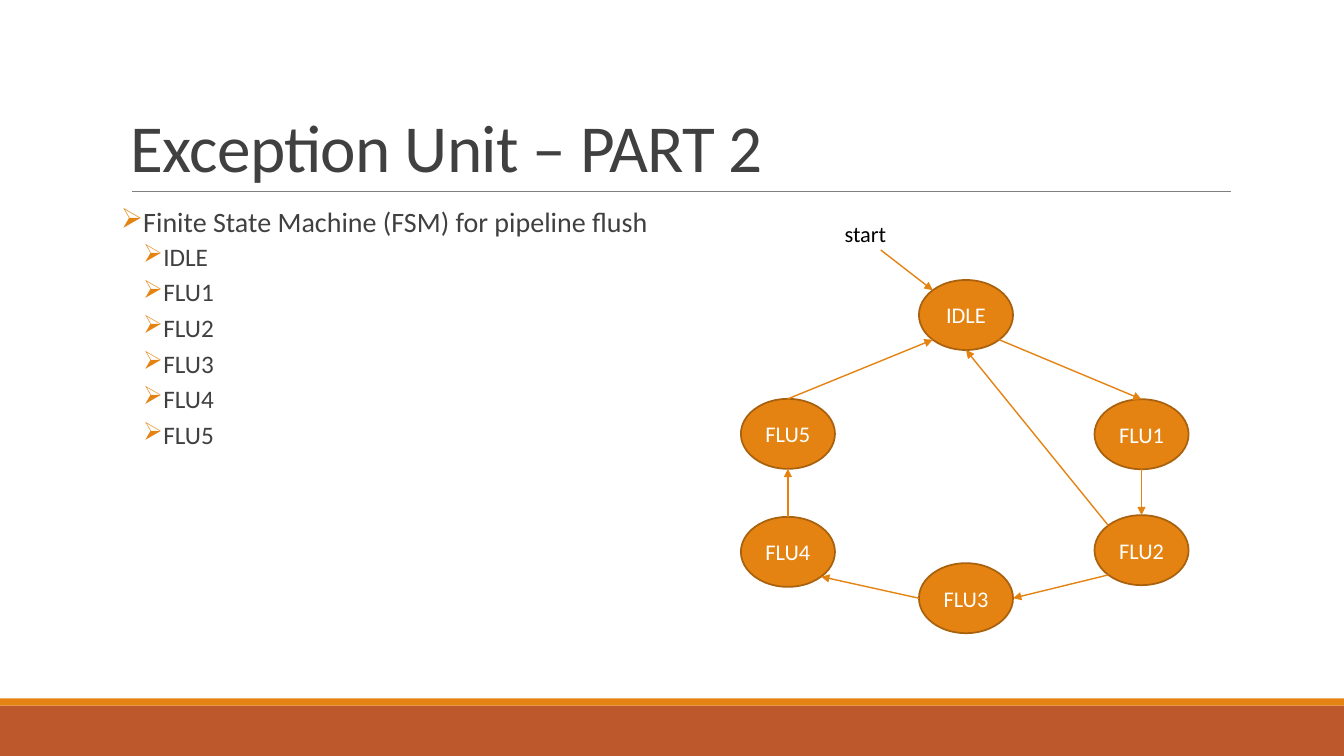
import math

import pptx
import pptx.dml.color
import pptx.enum.shapes
import pptx.enum.text
import pptx.oxml.ns
import pptx.util
from lxml import etree

Pt = pptx.util.Pt
FONT = "Calibri"
COLORS = {
    "orange": "E48312",
    "rust": "BD582C",
    "outline": "A9610D",
    "rule": "808080",
    "text": "404040",
    "black": "000000",
    "white": "FFFFFF",
}
STATE_WIDTH, STATE_HEIGHT = 67.2, 50
LEFT, CENTER, RIGHT = 529.2, 656.4, 781.8
STATES = {
    "IDLE": (CENTER, 200),
    "FLU1": (RIGHT, 285.2),
    "FLU2": (RIGHT, 368),
    "FLU3": (CENTER, 402.3),
    "FLU4": (LEFT, 369.2),
    "FLU5": (LEFT, 284.9),
}
DIAGONAL = math.sqrt(0.5)
SIDES = {
    "top": (0, -1),
    "bottom": (0, 1),
    "left": (-1, 0),
    "right": (1, 0),
    "top left": (-DIAGONAL, -DIAGONAL),
    "bottom left": (-DIAGONAL, DIAGONAL),
    "bottom right": (DIAGONAL, DIAGONAL),
}
TRANSITIONS = [
    ("FLU1", "bottom", "FLU2", "top"),
    ("FLU2", "bottom left", "FLU3", "right"),
    ("FLU3", "left", "FLU4", "bottom right"),
    ("FLU4", "top", "FLU5", "bottom"),
    ("FLU5", "top", "IDLE", "bottom left"),
    ("IDLE", "bottom right", "FLU1", "top"),
    ("FLU2", "top left", "IDLE", "bottom"),
]


def rgb(name):
    return pptx.dml.color.RGBColor.from_string(COLORS[name])


def add_child(parent, tag, **attributes):
    return etree.SubElement(parent, pptx.oxml.ns.qn(tag), attributes)


def style_font(paragraph, size, color):
    paragraph.font.name = FONT
    paragraph.font.size = Pt(size)
    paragraph.font.color.rgb = rgb(color)


def add_filled_shape(slide, kind, left, top, width, height, fill):
    shape = slide.shapes.add_shape(kind, Pt(left), Pt(top), Pt(width), Pt(height))
    shape.shadow.inherit = False
    shape.fill.solid()
    shape.fill.fore_color.rgb = rgb(fill)
    shape.line.fill.background()
    return shape


def add_band(slide, top, height, fill):
    add_filled_shape(slide, pptx.enum.shapes.MSO_SHAPE.RECTANGLE, 0, top, 960, height, fill)


def add_state(slide, name):
    left, top = STATES[name]
    shape = add_filled_shape(slide, pptx.enum.shapes.MSO_SHAPE.OVAL, left, top,
                             STATE_WIDTH, STATE_HEIGHT, "orange")
    shape.line.color.rgb = rgb("outline")
    shape.line.width = Pt(1.25)
    frame = shape.text_frame
    frame.vertical_anchor = pptx.enum.text.MSO_ANCHOR.MIDDLE
    paragraph = frame.paragraphs[0]
    paragraph.text = name
    paragraph.alignment = pptx.enum.text.PP_ALIGN.CENTER
    style_font(paragraph, 16, "white")


def add_line(slide, start, end, color, width, arrow=False):
    connector = slide.shapes.add_connector(
        pptx.enum.shapes.MSO_CONNECTOR.STRAIGHT, *map(Pt, start + end))
    connector.line.color.rgb = rgb(color)
    connector.line.width = Pt(width)
    if arrow:
        add_child(connector.line._get_or_add_ln(), "a:tailEnd", type="triangle")
    add_child(connector._element.spPr, "a:effectLst")


def add_arrow(slide, start, end):
    add_line(slide, start, end, "orange", 1, arrow=True)


def state_point(name, side):
    left, top = STATES[name]
    across, down = SIDES[side]
    return (left + STATE_WIDTH * (1 + across) / 2, top + STATE_HEIGHT * (1 + down) / 2)


def add_text_frame(slide, left, top, width, height):
    box = slide.shapes.add_textbox(Pt(left), Pt(top), Pt(width), Pt(height))
    box.text_frame.word_wrap = True
    return box.text_frame


def add_title(slide, text):
    frame = add_text_frame(slide, 86.4, 22.6, 792, 114.2)
    frame.vertical_anchor = pptx.enum.text.MSO_ANCHOR.BOTTOM
    paragraph = frame.paragraphs[0]
    run = paragraph.add_run()
    run.text = text
    run.font._element.set("spc", "-50")
    paragraph.line_spacing = 0.85
    style_font(paragraph, 48, "text")


def style_bullet(paragraph, level, size, margin, hanging, before, after):
    paragraph.level = level
    paragraph.line_spacing = 0.9
    paragraph.space_before = Pt(before)
    paragraph.space_after = Pt(after)
    style_font(paragraph, size, "text")
    properties = paragraph._p.get_or_add_pPr()
    properties.set("marL", str(Pt(margin)))
    properties.set("indent", str(-Pt(hanging)))
    bullet_color = etree.Element(pptx.oxml.ns.qn("a:buClr"))
    add_child(bullet_color, "a:srgbClr", val=COLORS["orange"])
    bullet = etree.Element(pptx.oxml.ns.qn("a:buChar"), char="➢")
    defaults = properties.find(pptx.oxml.ns.qn("a:defRPr"))
    defaults.addprevious(bullet_color)
    defaults.addprevious(bullet)


def add_state_list(slide, heading, names):
    frame = add_text_frame(slide, 86.4, 145.4, 792, 316.8)
    frame.margin_left = frame.margin_right = 0
    paragraph = frame.paragraphs[0]
    paragraph.text = heading
    style_bullet(paragraph, 0, 20, 7.2, 7.2, 12, 2)
    for name in names:
        paragraph = frame.add_paragraph()
        paragraph.text = name
        style_bullet(paragraph, 1, 18, 30.24, 14.4, 2, 4)


def add_start_label(slide):
    paragraph = add_text_frame(slide, 596.2, 153.4, 76.3, 26.6).paragraphs[0]
    paragraph.text = "start"
    style_font(paragraph, 16, "black")


def main():
    presentation = pptx.Presentation()
    presentation.slide_width = Pt(960)
    presentation.slide_height = Pt(540)
    slide = presentation.slides.add_slide(presentation.slide_layouts[6])
    add_band(slide, 504, 36, "rust")
    add_band(slide, 498.8, 5.2, "orange")
    add_line(slide, (94.3, 136.8), (879, 136.8), "rule", 0.5)
    add_title(slide, "Exception Unit – PART 2")
    add_state_list(slide, "Finite State Machine (FSM) for pipeline flush", STATES)
    for name in STATES:
        add_state(slide, name)
    for source, source_side, target, target_side in TRANSITIONS:
        add_arrow(slide, state_point(source, source_side), state_point(target, target_side))
    add_arrow(slide, (629.2, 178.6), state_point("IDLE", "top left"))
    add_start_label(slide)
    presentation.save("out.pptx")


if __name__ == "__main__":
    main()
